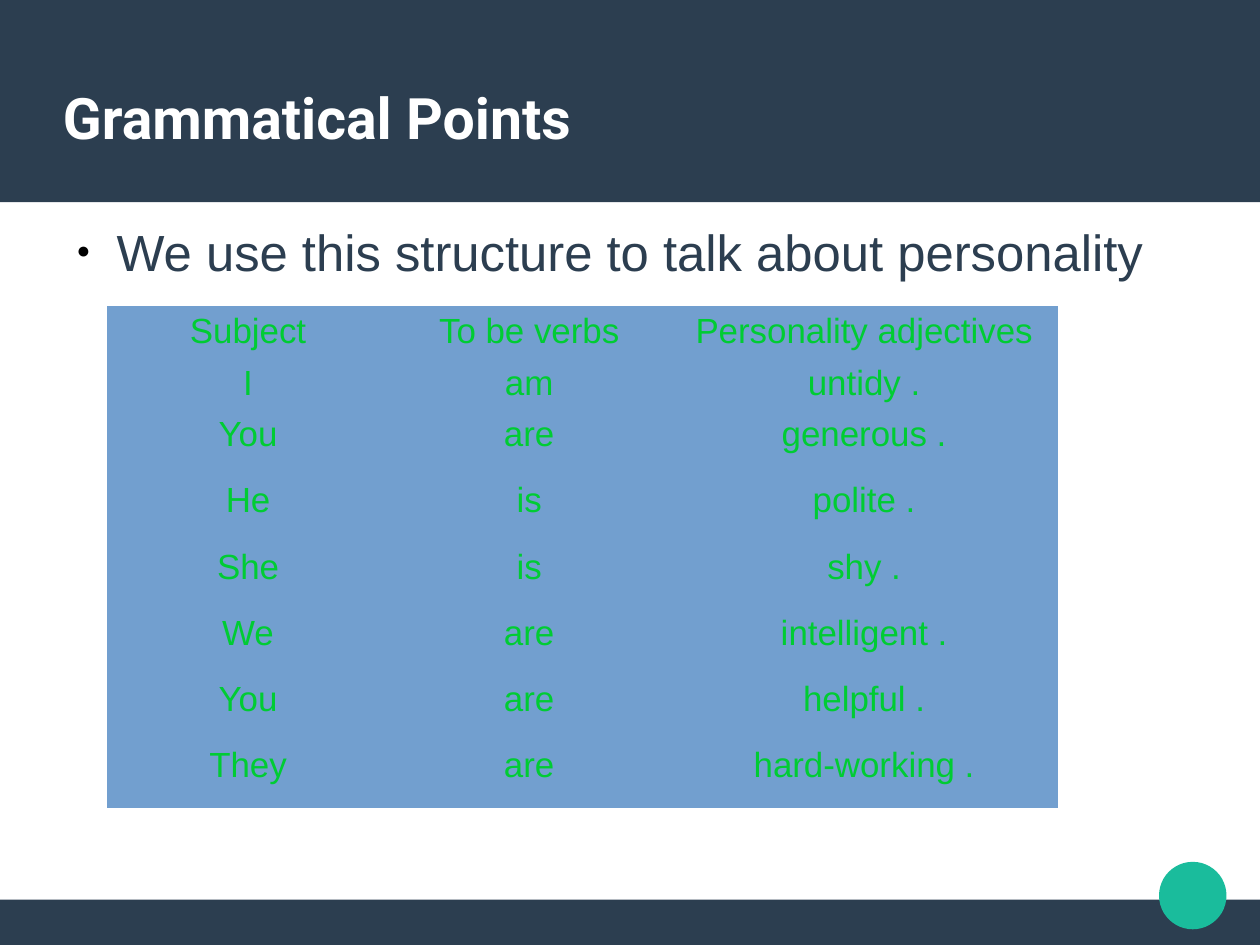
from pptx import Presentation
from pptx.dml.color import RGBColor
from pptx.enum import shapes, text
from pptx.oxml import xmlchemy
from pptx.util import Inches, Pt

NAVY = RGBColor(0x2C, 0x3E, 0x50)
TEAL = RGBColor(0x1A, 0xBC, 0x9C)
BLUE = RGBColor(0x72, 0x9F, 0xCF)
GREEN = RGBColor(0x00, 0xCC, 0x33)
WHITE = RGBColor(0xFF, 0xFF, 0xFF)

# The slide measures 28 by 21 centimetres.
WIDTH, HEIGHT = 28 / 2.54, 21 / 2.54
FOOTER_TOP = 7.87
COLUMN_WIDTHS = [2.46, 2.46, 3.4]
ROW_HEIGHTS = [0.45] * 2 + [0.58] * 5 + [0.59]
SENTENCES = [
    ("Subject", "To be verbs", "Personality adjectives"),
    ("I", "am", "untidy ."),
    ("You", "are", "generous ."),
    ("He", "is", "polite ."),
    ("She", "is", "shy ."),
    ("We", "are", "intelligent ."),
    ("You", "are", "helpful ."),
    ("They", "are", "hard-working ."),
]


def add_filled_shape(slide, kind, left, top, width, height, color):
    shape = slide.shapes.add_shape(
        kind, Inches(left), Inches(top), Inches(width), Inches(height))
    shape.shadow.inherit = False
    shape.fill.solid()
    shape.fill.fore_color.rgb = color
    shape.line.fill.background()


def format_font(font, name, size, color, bold=False):
    font.name = name
    font.size = Pt(size)
    font.bold = bold
    font.color.rgb = color


def add_text(slide, words, left, top, width, height, anchor):
    """Add a wrapping text box without margins and return its paragraph."""
    box = slide.shapes.add_textbox(
        Inches(left), Inches(top), Inches(width), Inches(height))
    frame = box.text_frame
    frame.word_wrap = True
    frame.vertical_anchor = anchor
    frame.margin_left = frame.margin_right = 0
    frame.margin_top = frame.margin_bottom = 0
    frame.text = words
    return frame.paragraphs[0]


def add_child(parent, tag, **attributes):
    child = xmlchemy.OxmlElement(tag)
    for name, value in attributes.items():
        child.set(name, value)
    parent.append(child)
    return child


def add_bullet(paragraph):
    properties = paragraph._p.get_or_add_pPr()
    properties.set("marL", str(Inches(0.47)))
    properties.set("indent", str(-Inches(0.35)))
    color = add_child(properties, "a:buClr")
    add_child(color, "a:srgbClr", val="000000")
    add_child(properties, "a:buSzPct", val="45000")
    add_child(properties, "a:buFont", typeface="Arial")
    add_child(properties, "a:buChar", char="●")


def format_cell(cell, words):
    cell.text = words
    cell.margin_bottom = Inches(0.02)
    paragraph = cell.text_frame.paragraphs[0]
    paragraph.alignment = text.PP_ALIGN.CENTER
    format_font(paragraph.runs[0].font, "Arial", 22, GREEN)
    properties = cell._tc.get_or_add_tcPr()
    for side in ("L", "R", "T", "B"):
        border = add_child(properties, f"a:ln{side}", w="0")
        add_child(border, "a:noFill")
    cell.fill.solid()
    cell.fill.fore_color.rgb = BLUE


def add_sentence_table(slide, left, top):
    table = slide.shapes.add_table(
        len(ROW_HEIGHTS), len(COLUMN_WIDTHS), Inches(left), Inches(top),
        Inches(sum(COLUMN_WIDTHS)), Inches(sum(ROW_HEIGHTS))).table
    table.first_row = table.horz_banding = False
    for column, width in zip(table.columns, COLUMN_WIDTHS):
        column.width = Inches(width)
    for row, height, sentence in zip(table.rows, ROW_HEIGHTS, SENTENCES):
        row.height = Inches(height)
        for cell, words in zip(row.cells, sentence):
            format_cell(cell, words)


def main():
    presentation = Presentation()
    presentation.slide_width = Inches(WIDTH)
    presentation.slide_height = Inches(HEIGHT)
    slide = presentation.slides.add_slide(presentation.slide_layouts[6])

    rectangle = shapes.MSO_SHAPE.RECTANGLE
    add_filled_shape(slide, rectangle, 0, FOOTER_TOP,
                     WIDTH, HEIGHT - FOOTER_TOP, NAVY)
    add_filled_shape(slide, rectangle, 0, 0, WIDTH, 1.77, NAVY)
    add_filled_shape(slide, shapes.MSO_SHAPE.OVAL,
                     10.14, 7.54, 0.59, 0.59, TEAL)

    title = add_text(slide, "Grammatical Points", 0.55, 0.33, 9.92, 1.38,
                     text.MSO_ANCHOR.MIDDLE)
    format_font(title.runs[0].font, "Roboto", 36, WHITE, bold=True)

    rule = add_text(slide, "We use this structure to talk about personality",
                    0.55, 1.93, 9.92, 0.66, text.MSO_ANCHOR.TOP)
    add_bullet(rule)
    format_font(rule.runs[0].font, "Arial", 32, NAVY)

    add_sentence_table(slide, 0.94, 2.68)
    presentation.save("out.pptx")


if __name__ == "__main__":
    main()
